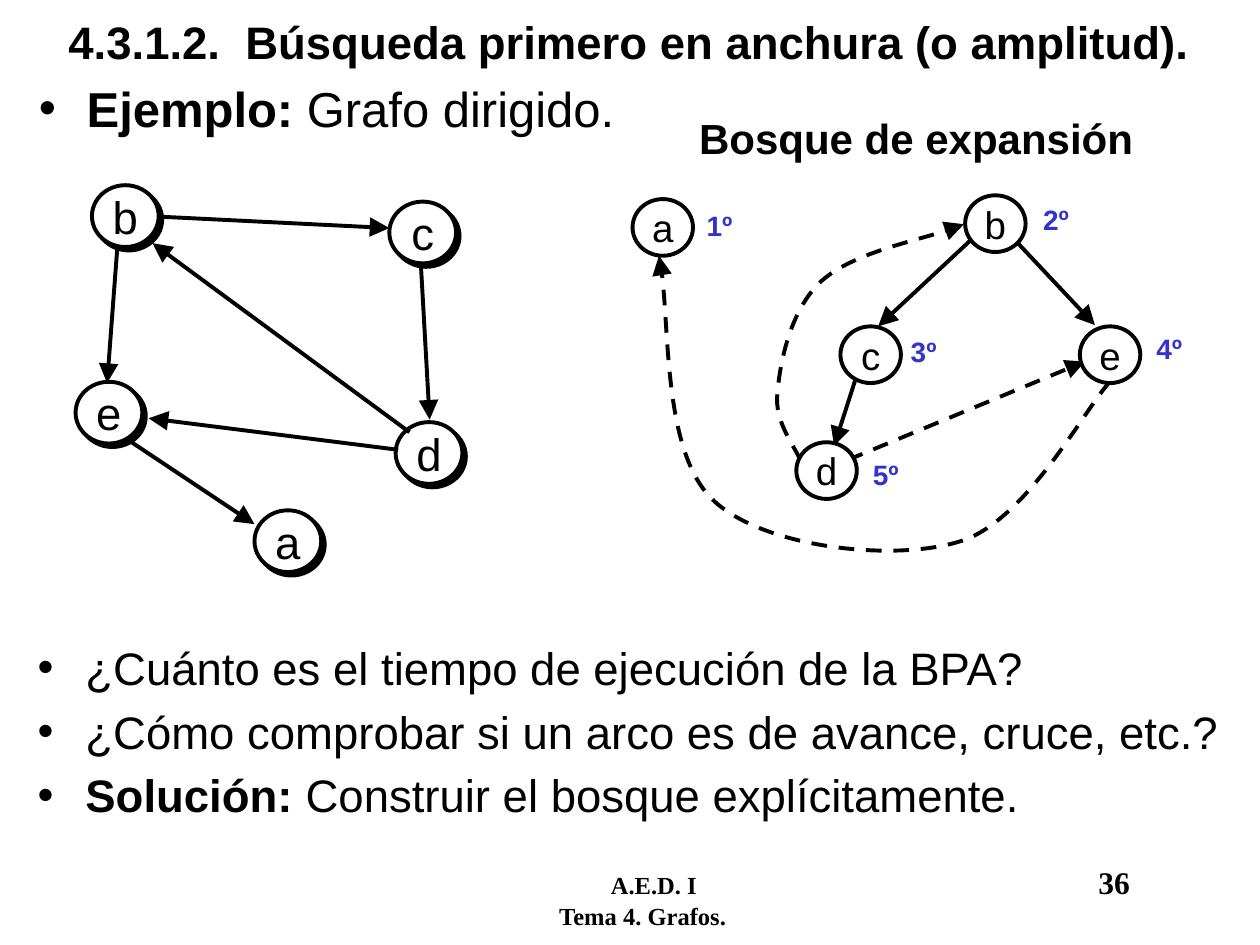
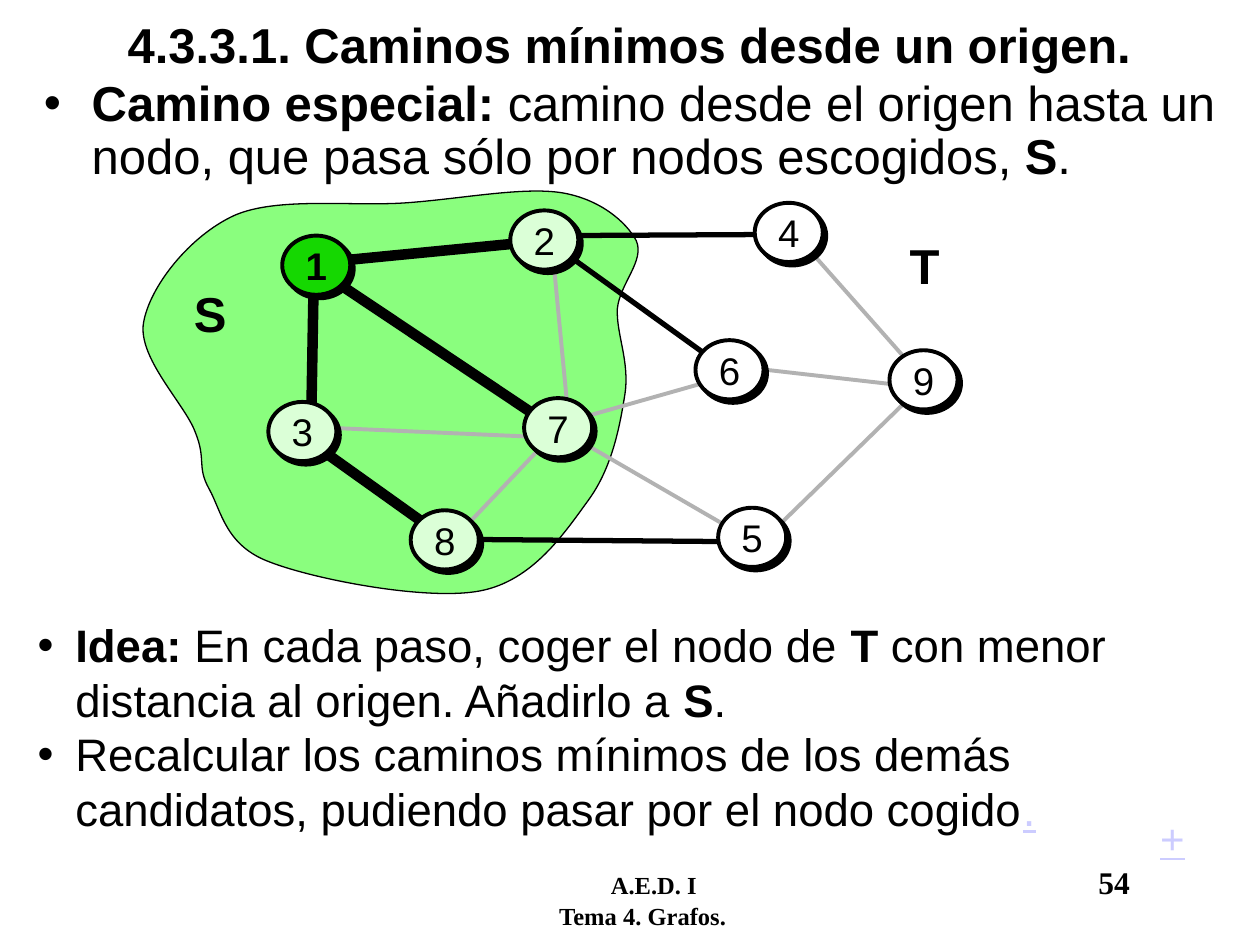
from dataclasses import dataclass

from lxml import etree
from pptx import Presentation
from pptx.dml.color import RGBColor
from pptx.enum.dml import MSO_LINE
from pptx.enum.shapes import MSO_CONNECTOR, MSO_SHAPE
from pptx.enum.text import MSO_ANCHOR, PP_ALIGN
from pptx.oxml.ns import qn
from pptx.util import Inches, Pt

BLACK = RGBColor(0x00, 0x00, 0x00)
WHITE = RGBColor(0xFF, 0xFF, 0xFF)
GRAY = RGBColor(0xB2, 0xB2, 0xB2)
BLUE = RGBColor(0x33, 0x33, 0xCC)
LILAC = RGBColor(0xCC, 0xCC, 0xFF)
REGION_GREEN = RGBColor(0x8A, 0xFE, 0x7E)
ORIGIN_GREEN = RGBColor(0x15, 0xD7, 0x01)
CHOSEN_GREEN = RGBColor(0xDB, 0xFF, 0xD7)

BODY_FONT = "Arial"
FOOTER_FONT = "Times New Roman"
ELLIPSE = MSO_SHAPE.OVAL
STRAIGHT = MSO_CONNECTOR.STRAIGHT
DASH = MSO_LINE.DASH
CENTER = PP_ALIGN.CENTER
MIDDLE = MSO_ANCHOR.MIDDLE

THIN, MEDIUM, THICK = 2.25, 3, 6

Point = tuple[float, float]


@dataclass(frozen=True)
class TextStyle:
    size: float
    color: RGBColor = BLACK
    bold: bool = False
    font: str = BODY_FONT
    underline: bool = False
    indent: float = 0
    bullet: bool = False
    space_before: float = 0
    line_spacing: float = 1
    tabs: tuple[float, ...] = ()


@dataclass(frozen=True)
class Node:
    label: str
    left: float
    top: float
    fill: RGBColor = WHITE


@dataclass(frozen=True)
class NodeStyle:
    width: float
    height: float
    size: float
    shadow: bool


@dataclass(frozen=True)
class Edge:
    start: Point
    end: Point
    width: float = THIN
    color: RGBColor = BLACK
    arrow: bool = False
    dashed: bool = False


GRAPH_NODE = NodeStyle(0.53, 0.49, 26, True)
FOREST_NODE = NodeStyle(0.48, 0.45, 22, False)
PATH_NODE = NodeStyle(0.54, 0.47, 22, True)
ORDER_STYLE = TextStyle(16, BLUE, True)
SET_STYLE = TextStyle(28, bold=True)
QUESTION_STYLE = TextStyle(26, indent=0.38, bullet=True, space_before=5.2)
IDEA_STYLE = TextStyle(26, indent=0.3, bullet=True)
COURSE_STYLE = TextStyle(14, bold=True, font=FOOTER_FONT, tabs=(1.13, 5))
TOPIC_STYLE = TextStyle(14, bold=True, font=FOOTER_FONT, tabs=(0.72,))

GRAPH_NODES = [
    Node("b", 0.73, 1.47), Node("c", 3.09, 1.6), Node("e", 0.6, 3.03),
    Node("d", 3.14, 3.35), Node("a", 2.02, 4.05),
]
GRAPH_EDGES = [
    Edge((1.27, 1.72), (3.09, 1.81), arrow=True),
    Edge((3.34, 2.09), (3.41, 3.33), arrow=True),
    Edge((0.93, 1.98), (0.85, 3.04), arrow=True),
    Edge((3.16, 3.57), (1.18, 3.32), arrow=True),
    Edge((3.25, 3.43), (1.21, 1.93), arrow=True),
    Edge((1.03, 3.5), (2.02, 4.16), arrow=True),
]
FOREST_NODES = [
    Node("a", 5.02, 1.58), Node("b", 7.66, 1.55), Node("c", 6.67, 2.59),
    Node("e", 8.57, 2.59), Node("d", 6.32, 3.51),
]
FOREST_EDGES = [
    Edge((7.7, 1.91), (6.97, 2.59), arrow=True),
    Edge((6.79, 3.01), (6.62, 3.54), arrow=True),
    Edge((8.05, 1.9), (8.69, 2.58), arrow=True),
    Edge((6.73, 3.65), (8.61, 2.87), arrow=True, dashed=True),
]
VISIT_ORDER = [
    ("1º", 5.51, 1.61), ("2º", 8.18, 1.56), ("3º", 7.13, 2.61),
    ("4º", 9.08, 2.58), ("5º", 6.83, 3.58),
]
# Each curve is a start point followed by three Bézier points per segment.
ARC_E_TO_A = [
    (8.81, 3.03), (8.61, 3.24), (8.14, 4.15), (7.61, 4.3), (7.09, 4.46),
    (6.06, 4.35), (5.66, 3.97), (5.27, 3.6), (5.32, 2.44), (5.23, 2.03),
]
ARC_D_TO_B = [
    (6.35, 3.65), (6.32, 3.56), (6.14, 3.35), (6.17, 3.12), (6.19, 2.88),
    (6.27, 2.46), (6.52, 2.23), (6.77, 2.01), (7.42, 1.88), (7.65, 1.78),
]
CHOSEN_REGION = [
    (1.55, 3.43), (1.47, 3.21), (1.09, 2.84), (1.14, 2.56), (1.19, 2.27),
    (1.51, 1.87), (1.86, 1.71), (2.2, 1.56), (2.79, 1.64), (3.22, 1.61),
    (3.65, 1.58), (4.15, 1.48), (4.46, 1.53), (4.76, 1.58), (4.97, 1.76),
    (5.05, 1.91), (5.12, 2.07), (4.92, 2.25), (4.9, 2.45), (4.89, 2.65),
    (5, 2.87), (4.96, 3.13), (4.92, 3.38), (4.86, 3.71), (4.67, 3.97),
    (4.48, 4.23), (4.23, 4.61), (3.81, 4.69), (3.39, 4.77), (2.5, 4.6),
    (2.14, 4.46), (1.79, 4.33), (1.76, 4.06), (1.66, 3.88), (1.56, 3.7),
    (1.64, 3.65), (1.55, 3.43),
]
PATH_NODES = [
    Node("1", 2.24, 1.87, ORIGIN_GREEN), Node("2", 4.05, 1.67, CHOSEN_GREEN),
    Node("3", 2.13, 3.19, CHOSEN_GREEN), Node("7", 4.16, 3.16, CHOSEN_GREEN),
    Node("8", 3.26, 4.05, CHOSEN_GREEN), Node("6", 5.52, 2.7),
    Node("4", 5.99, 1.61), Node("9", 7.06, 2.78), Node("5", 5.7, 4.03),
]
PATH_EDGES = [
    Edge((4.5, 2.02), (5.68, 2.87), MEDIUM),
    Edge((2.58, 2.18), (4.51, 3.47), THICK),
    Edge((4.43, 3.4), (5.93, 4.27), color=GRAY),
    Edge((5.86, 2.91), (7.26, 3.07), color=GRAY),
    Edge((7.35, 3.03), (6.13, 4.22), color=GRAY),
    Edge((2.41, 3.47), (3.6, 4.32), THICK),
    Edge((3.57, 4.28), (5.98, 4.3), MEDIUM),
    Edge((2.69, 2.07), (4.33, 1.91), THICK),
    Edge((4.38, 1.94), (4.51, 3.3), color=GRAY),
    Edge((4.34, 3.5), (3.59, 4.29), color=GRAY),
    Edge((2.49, 2.21), (2.47, 3.36), THICK),
    Edge((2.49, 3.39), (4.31, 3.47), color=GRAY),
    Edge((6.34, 1.86), (4.46, 1.87), MEDIUM),
    Edge((6.34, 1.89), (7.26, 2.93), color=GRAY),
    Edge((4.35, 3.39), (5.76, 2.99), color=GRAY),
]


def format_paragraph(paragraph, text: str, style: TextStyle) -> None:
    """Write text, in which ** switches bold on and off."""
    properties = paragraph._p.get_or_add_pPr()
    if style.indent:
        properties.set("marL", str(Inches(style.indent)))
    if style.bullet:
        properties.set("indent", str(-Inches(style.indent)))
        etree.SubElement(properties, qn("a:buFont")).set("typeface", BODY_FONT)
        etree.SubElement(properties, qn("a:buChar")).set("char", "•")
    if style.tabs:
        tab_list = etree.SubElement(properties, qn("a:tabLst"))
        for position in style.tabs:
            etree.SubElement(tab_list, qn("a:tab"), pos=str(Inches(position)), algn="l")
    if style.line_spacing != 1:
        paragraph.line_spacing = style.line_spacing
    font = paragraph.font
    font.name, font.size, font.bold = style.font, Pt(style.size), style.bold
    font.color.rgb = style.color
    if style.underline:
        font.underline = True
    pieces = text.split("**")
    for index, piece in enumerate(pieces):
        if piece:
            run = paragraph.add_run()
            run.text = piece
            if len(pieces) > 1:
                run.font.bold = index % 2 == 1


def add_text(slide, left: float, top: float, width: float, height: float,
             texts: list[str], style: TextStyle):
    box = slide.shapes.add_textbox(
        Inches(left), Inches(top), Inches(width), Inches(height))
    frame = box.text_frame
    frame.word_wrap = True
    for index, text in enumerate(texts):
        paragraph = frame.add_paragraph() if index else frame.paragraphs[0]
        if index and style.space_before:
            paragraph.space_before = Pt(style.space_before)
        format_paragraph(paragraph, text, style)
    return frame


def style_line(shape, width: float, color: RGBColor = BLACK,
               arrow: bool = False, dashed: bool = False) -> None:
    line = shape.line
    line.color.rgb = color
    line.width = Pt(width)
    if dashed:
        line.dash_style = DASH
    if arrow:
        etree.SubElement(line._get_or_add_ln(), qn("a:tailEnd"),
                         type="triangle", w="lg", len="lg")


def add_edge(slide, edge: Edge) -> None:
    connector = slide.shapes.add_connector(
        STRAIGHT, *(Inches(value) for value in edge.start + edge.end))
    style_line(connector, edge.width, edge.color, edge.arrow, edge.dashed)
    etree.SubElement(connector._element.spPr, qn("a:effectLst"))


def add_node(slide, node: Node, style: NodeStyle) -> None:
    shape = slide.shapes.add_shape(
        ELLIPSE, Inches(node.left), Inches(node.top),
        Inches(style.width), Inches(style.height))
    shape.shadow.inherit = False
    shape.fill.solid()
    shape.fill.fore_color.rgb = node.fill
    style_line(shape, THIN)
    if style.shadow:
        effects = shape._element.spPr.find(qn("a:effectLst"))
        shadow = etree.SubElement(
            effects, qn("a:outerShdw"), dist=str(Pt(2.8)), dir="2700000", algn="ctr")
        etree.SubElement(shadow, qn("a:srgbClr")).set("val", str(BLACK))
    frame = shape.text_frame
    frame.word_wrap = False
    frame.vertical_anchor = MIDDLE
    paragraph = frame.paragraphs[0]
    paragraph.alignment = CENTER
    format_paragraph(paragraph, node.label,
                     TextStyle(style.size, bold=node.fill == ORIGIN_GREEN))


def add_curve(slide, points: list[Point], closed: bool = False):
    """Outline the points, then turn every three line segments into one Bézier."""
    start, *others = [(Inches(x), Inches(y)) for x, y in points]
    builder = slide.shapes.build_freeform(*start)
    builder.add_line_segments(others, close=closed)
    shape = builder.convert_to_shape()
    shape.shadow.inherit = False
    lines = list(shape._element.iter(qn("a:lnTo")))
    for first in range(0, len(lines), 3):
        bezier = etree.Element(qn("a:cubicBezTo"))
        lines[first].addprevious(bezier)
        for line in lines[first:first + 3]:
            bezier.append(line[0])
            line.getparent().remove(line)
    return shape


def add_dashed_arc(slide, points: list[Point]) -> None:
    arc = add_curve(slide, points)
    arc.fill.background()
    style_line(arc, THIN, arrow=True, dashed=True)


def add_base_slide(presentation, title: str, size: float, title_height: float, number: int):
    slide = presentation.slides.add_slide(presentation.slide_layouts[6])
    footer = add_text(slide, 3.62, 6.8, 5.8, 0.5, ["\tA.E.D. I\t"], COURSE_STYLE)
    page_number = footer.paragraphs[0].add_run()
    page_number.text = str(number)
    page_number.font.size = Pt(18)
    format_paragraph(footer.add_paragraph(), "\tTema 4. Grafos.", TOPIC_STYLE)
    frame = add_text(slide, 0.33, 0, 9.33, title_height, [title], TextStyle(size, bold=True))
    frame.vertical_anchor = MIDDLE
    frame.paragraphs[0].alignment = CENTER
    return slide


def build_breadth_first_slide(presentation) -> None:
    slide = add_base_slide(
        presentation, "4.3.1.2.  Búsqueda primero en anchura (o amplitud).", 26, 0.65, 36)
    add_text(slide, 0.2, 5.03, 9.63, 1.53, [
        "¿Cuánto es el tiempo de ejecución de la BPA?",
        "¿Cómo comprobar si un arco es de avance, cruce, etc.?",
        "**Solución:** Construir el bosque explícitamente."], QUESTION_STYLE)
    add_text(slide, 5.45, 0.84, 3.79, 0.58, ["Bosque de expansión"], TextStyle(24, bold=True))
    for node in GRAPH_NODES:
        add_node(slide, node, GRAPH_NODE)
    for edge in GRAPH_EDGES:
        add_edge(slide, edge)
    add_text(slide, 0.21, 0.57, 5.05, 0.68, ["**Ejemplo: **Grafo dirigido."],
             TextStyle(28, indent=0.38, bullet=True))
    for order, left, top in VISIT_ORDER:
        add_text(slide, left, top, 0.73, 0.37, [order], ORDER_STYLE)
    for edge in FOREST_EDGES:
        add_edge(slide, edge)
    for arc in (ARC_E_TO_A, ARC_D_TO_B):
        add_dashed_arc(slide, arc)
    for node in FOREST_NODES:
        add_node(slide, node, FOREST_NODE)


def build_shortest_paths_slide(presentation) -> None:
    slide = add_base_slide(
        presentation, "4.3.3.1. Caminos mínimos desde un origen.", 28, 0.69, 54)
    region = add_curve(slide, CHOSEN_REGION, closed=True)
    region.fill.solid()
    region.fill.fore_color.rgb = REGION_GREEN
    style_line(region, 0.75)
    add_text(slide, 0.25, 0.58, 9.5, 1.07, [
        "**Camino especial:** camino desde el origen hasta un nodo, "
        "que pasa sólo por nodos escogidos, **S**."],
        TextStyle(28, indent=0.38, bullet=True, line_spacing=0.9))
    for edge in PATH_EDGES:
        add_edge(slide, edge)
    for node in PATH_NODES:
        add_node(slide, node, PATH_NODE)
    for name, left, top in (("S", 1.44, 2.2), ("T", 7.12, 1.82)):
        add_text(slide, left, top, 0.48, 0.57, [name], SET_STYLE)
    idea = add_text(slide, 0.2, 4.85, 9.44, 1.84, [
        "**Idea:** En cada paso, coger el nodo de **T** con menor distancia al origen. "
        "Añadirlo a **S**.",
        "Recalcular los caminos mínimos de los demás candidatos, "
        "pudiendo pasar por el nodo cogido"], IDEA_STYLE)
    final_dot = idea.paragraphs[-1].add_run()
    final_dot.text = "."
    final_dot.font.color.rgb = LILAC
    final_dot.font.underline = True
    add_text(slide, 9.11, 6.4, 0.4, 0.5, ["+"], TextStyle(24, LILAC, underline=True))


def main() -> None:
    presentation = Presentation()
    presentation.slide_width, presentation.slide_height = Inches(10), Inches(7.5)
    build_breadth_first_slide(presentation)
    build_shortest_paths_slide(presentation)
    presentation.save("out.pptx")


if __name__ == "__main__":
    main()
